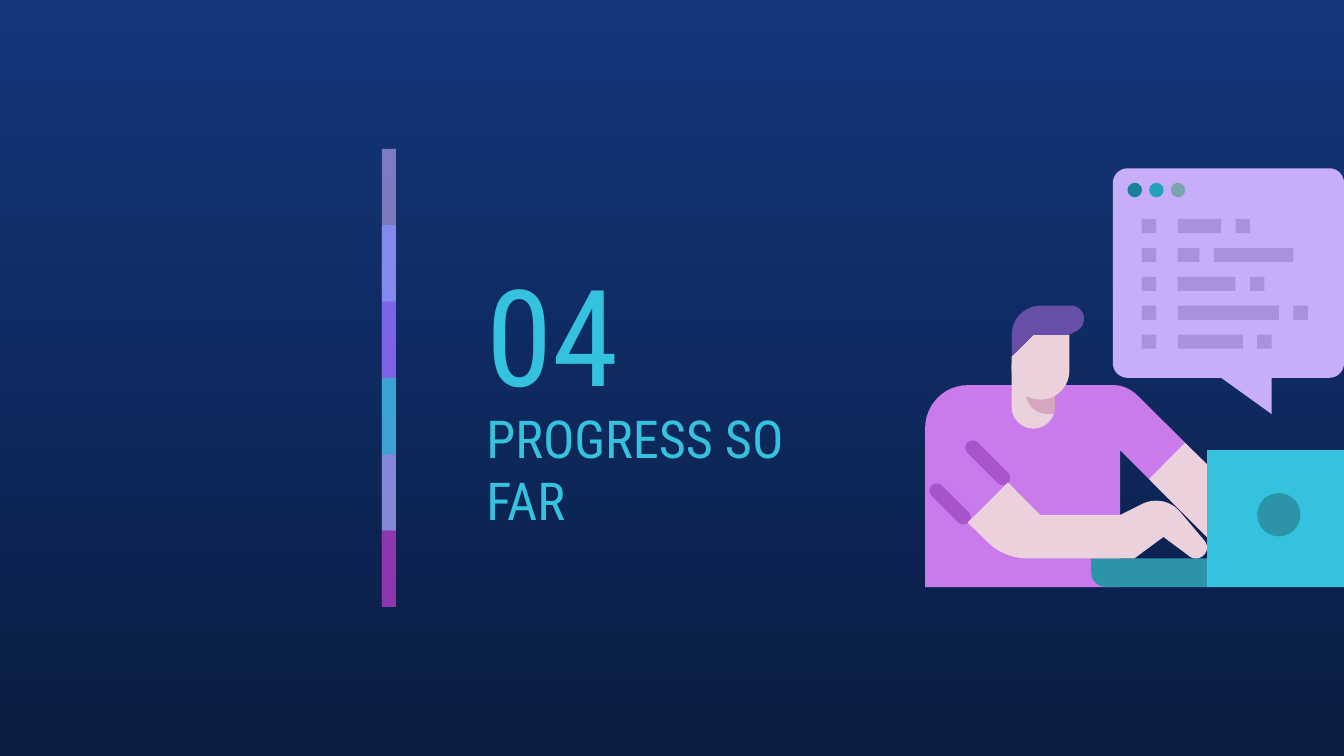
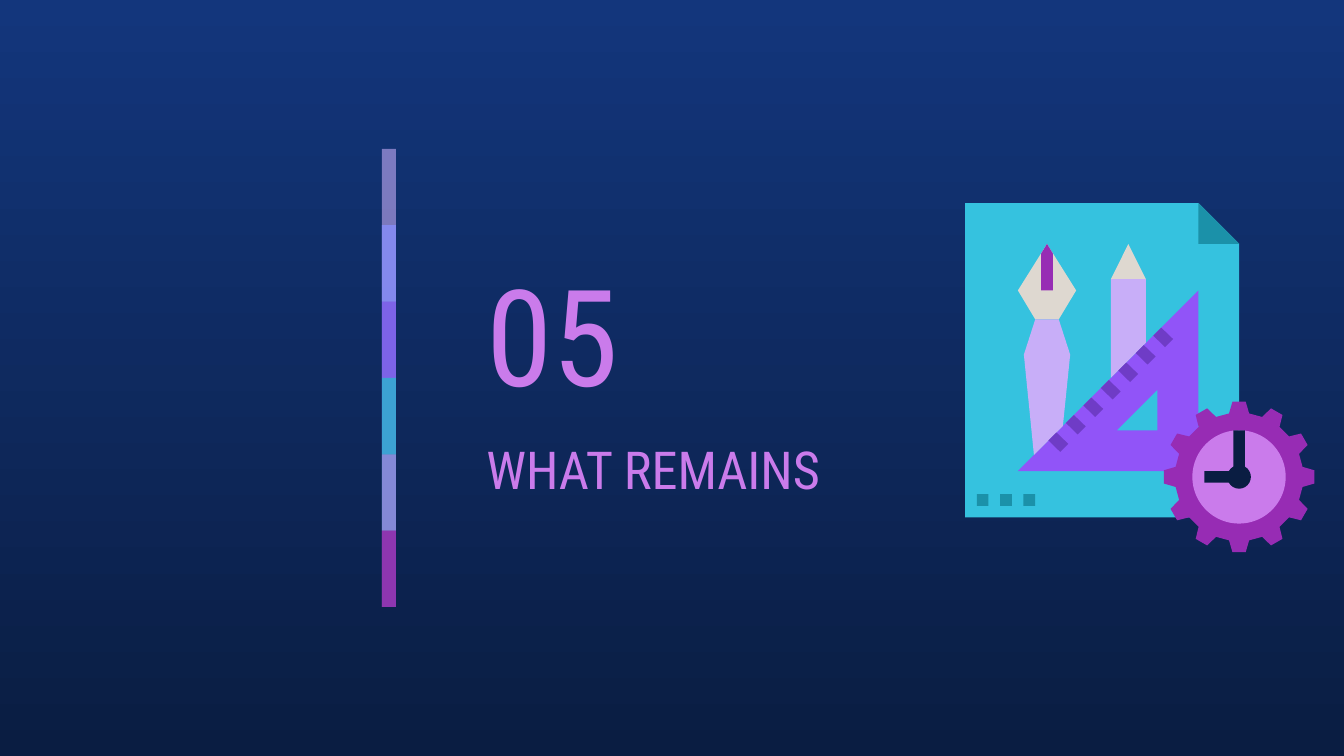
"""Builds two section slides: progress so far, and what remains."""
from dataclasses import dataclass
from math import cos, radians, sin

from lxml.etree import SubElement
from pptx import Presentation
from pptx.dml.color import RGBColor
from pptx.enum.shapes import MSO_SHAPE
from pptx.enum.text import MSO_ANCHOR, MSO_AUTO_SIZE, PP_ALIGN
from pptx.oxml.ns import qn
from pptx.util import Pt


@dataclass(frozen=True)
class Theme:
    font: str = "Roboto Condensed"
    number_size: int = 72
    title_size: int = 28
    sky: str = "13367C"
    navy: str = "0A1D42"
    lilac: str = "C8AEF8"
    periwinkle: str = "878FFF"
    violet: str = "9154F8"
    cyan: str = "35C2DF"
    orchid: str = "CA7BEB"
    purple: str = "972CB4"
    fold: str = "A855CB"
    teal: str = "2B94A9"
    skin: str = "EAD1DC"
    skin_shade: str = "D5A6BD"
    hair: str = "674EA7"
    code: str = "AB90DE"
    page_shade: str = "1B91A9"
    nib: str = "DED8D0"
    tick: str = "6F3CC6"
    buttons: tuple = ("198298", "22A2BC", "76A5AF")


def paint(sp, color, alpha=None):
    """Give a shape a plain fill, with no line or shadow."""
    sp.shadow.inherit = False
    sp.line.fill.background()
    sp.fill.solid()
    sp.fill.fore_color.rgb = RGBColor.from_string(color)
    if alpha is not None:
        clr = sp.element.spPr.find(".//" + qn("a:srgbClr"))
        SubElement(clr, qn("a:alpha")).set("val", str(alpha * 1000))


def outline(shapes, color, *contours):
    """Draw closed contours; a six-number step is a Bezier curve."""
    builder = None
    for (x, y), *steps in contours:
        if builder is None:
            builder = shapes.build_freeform(Pt(x), Pt(y), scale=1.0)
        else:
            builder.move_to(Pt(x), Pt(y))
        points = []
        for step in steps:
            if len(step) == 6:
                x1, y1, x2, y2, x3, y3 = step
                for t in (i / 12 for i in range(1, 13)):
                    a, b, c, d = (1 - t) ** 3, 3 * t * (1 - t) ** 2, 3 * t * t * (1 - t), t ** 3
                    points.append((Pt(a * x + b * x1 + c * x2 + d * x3),
                                   Pt(a * y + b * y1 + c * y2 + d * y3)))
            else:
                points.append((Pt(step[0]), Pt(step[1])))
            x, y = step[-2:]
        builder.add_line_segments(points, close=True)
    paint(builder.convert_to_shape(), color)


theme = Theme()
RECT, OVAL = MSO_SHAPE.RECTANGLE, MSO_SHAPE.OVAL
prs = Presentation()
prs.slide_width, prs.slide_height = Pt(720), Pt(405)

bg = prs.slide_master.background.fill
bg.gradient()
bg.gradient_angle = 270
for stop, color in zip(bg.gradient_stops, (theme.sky, theme.navy)):
    stop.color.rgb = RGBColor.from_string(color)

band = [(theme.lilac, 59), (theme.periwinkle, 74), (theme.violet, 53),
        (theme.cyan, 76), (theme.orchid, 56), (theme.purple, 74)]
band_step = 40.9
art = []
for number, title, color in (("04", "PROGRESS SO FAR", theme.cyan),
                             ("05", "WHAT REMAINS", theme.orchid)):
    s = prs.slides.add_slide(prs.slide_layouts[5])
    bars = s.shapes.add_group_shape().shapes
    for i, (bar_color, alpha) in enumerate(band):
        height = band_step * min(2, len(band) - i)
        bar = bars.add_shape(RECT, Pt(204.6), Pt(79.8 + band_step * i), Pt(7.5), Pt(height))
        paint(bar, bar_color, alpha)
    number_box = s.shapes.add_textbox(0, 0, 0, 0)
    for sp, text, size, box in (
            (number_box, number, theme.number_size, (253.4, 130, 126, 97)),
            (s.shapes.title, title, theme.title_size, (253.4, 227, 206.6, 48))):
        sp.left, sp.top, sp.width, sp.height = map(Pt, box)
        tf = sp.text_frame
        tf.text = text
        tf.word_wrap = True
        tf.auto_size = MSO_AUTO_SIZE.NONE
        tf.vertical_anchor = MSO_ANCHOR.MIDDLE
        tf.margin_left = tf.margin_right = tf.margin_top = tf.margin_bottom = Pt(7.2)
        p = tf.paragraphs[0]
        p.alignment = PP_ALIGN.LEFT
        font = p.runs[0].font
        font.name, font.size = theme.font, Pt(size)
        font.color.rgb = RGBColor.from_string(color)
    art.append(s.shapes.add_group_shape().shapes)

worker, plan = art

shirt = [(518.6, 206.3), (505.9, 206.3, 495.6, 216.6, 495.6, 229.4), (495.6, 314.5),
         (600, 314.5), (600, 241.2), (646.6, 287.8), (646.6, 248.8), (609.8, 212.3),
         (606, 208.4, 601.2, 206.3, 596.2, 206.3)]
outline(worker, theme.orchid, shirt)
for center_x, center_y, length in ((509, 270, 28.1), (529.2, 248, 31)):
    crease = worker.add_shape(MSO_SHAPE.ROUNDED_RECTANGLE, Pt(center_x - length / 2),
                              Pt(center_y - 3.9), Pt(length), Pt(7.8))
    crease.adjustments[0] = 0.5
    crease.rotation = 45
    paint(crease, theme.fold)

paint(worker.add_shape(RECT, Pt(646.6), Pt(241.2), Pt(73.4), Pt(73.4)), theme.cyan)
keyboard = [(584.6, 299.2), (584.6, 306.8), (584.6, 311, 588, 314.5, 592.6, 314.5),
            (646.6, 314.5), (646.6, 299.2)]
neck = [(542, 195), (542, 218), (542, 224.4, 547.2, 229.6, 553.6, 229.6),
        (560, 229.6, 565.2, 224.4, 565.2, 218), (565.2, 195)]
neck_shade = [(549.6, 195), (549.6, 210.2), (549.6, 216.6, 554.8, 221.8, 561.2, 221.8),
              (564.5, 221.8), (565.2, 219.8), (565.2, 195)]
near_arm = [(540, 258.5), (518.4, 280), (529.2, 290.6), (535, 296.2, 542.6, 299.2, 550.8, 299.2),
            (607.7, 299.2), (623.3, 287.7), (637, 297.9), (638, 298.8, 639.4, 299.2, 640.7, 299.2),
            (643.9, 299.2, 646.6, 296.6, 646.6, 293.4), (646.6, 292.1, 646.2, 290.9, 645.4, 289.9),
            (632, 274), (628.8, 270.3, 624.2, 268.3, 619.4, 268.3),
            (616.8, 268.3, 614.4, 268.8, 612, 270), (600, 276), (557.4, 276)]
far_arm = [(634.8, 237.3), (615.6, 256.7), (646.6, 287.8), (646.6, 248.8)]
bubble = [(604, 90.2), (599.7, 90.2, 596.2, 93.7, 596.2, 98), (596.2, 194.6),
          (596.2, 198.9, 599.7, 202.4, 604, 202.4), (654.2, 202.4), (681.2, 221.8),
          (681.2, 202.4), (712.2, 202.4), (716.5, 202.4, 720, 198.9, 720, 194.6),
          (720, 98), (720, 93.7, 716.5, 90.2, 712.2, 90.2)]
face = [(553.7, 179.4), (542, 191), (542, 198.7), (542, 207.2, 548.9, 214.1, 557.5, 214.1),
        (566, 214.1, 572.9, 207.2, 572.9, 198.7), (572.9, 179.4)]
hair = [(557.6, 163.7), (549, 163.7, 542, 170.7, 542, 179.3), (542, 191), (553.7, 179.4),
        (572.9, 179.4), (576.8, 177.3), (579.2, 176, 580.7, 173.5, 580.7, 170.7),
        (580.7, 166.8, 577.6, 163.7, 573.7, 163.7)]
for color, contour in ((theme.teal, keyboard), (theme.skin, neck), (theme.skin_shade, neck_shade),
                       (theme.skin, near_arm), (theme.skin, far_arm), (theme.lilac, bubble),
                       (theme.skin, face), (theme.hair, hair)):
    outline(worker, color, contour)
paint(worker.add_shape(OVAL, Pt(673.5), Pt(264.2), Pt(23.2), Pt(23.2)), theme.teal)

code_unit = 3.87
for row, (first, second) in enumerate(((6, 2), (3, 11), (8, 2), (14, 2), (9, 2))):
    for start, length in ((0, 2), (5, first), (first + 7, second)):
        token = worker.add_shape(RECT, Pt(611.6 + code_unit * start), Pt(117.3 + 15.5 * row),
                                 Pt(code_unit * length), Pt(7.6))
        paint(token, theme.code)
for i, color in enumerate(theme.buttons):
    paint(worker.add_shape(OVAL, Pt(604 + 11.6 * i), Pt(97.9), Pt(7.8), Pt(7.8)), color)

page = [(517, 108.8), (517, 277.2), (663.9, 277.2), (663.9, 130.7), (642, 108.8)]
corner = [(642, 108.8), (642, 130.7), (663.9, 130.7)]
set_square = [(642, 155.6), (545.2, 252.4), (642, 252.4)]
set_square_hole = [(620.1, 208.8), (620.1, 230.6), (598.3, 230.6)]
clock_x, clock_y = 663.8, 255.5
gear = [(clock_x + radius * sin(radians(tooth + angle)),
         clock_y - radius * cos(radians(tooth + angle)))
        for tooth in range(0, 360, 30)
        for angle, radius in ((-9, 34.4), (-5, 40.5), (5, 40.5), (9, 34.4))]
pencil_tip = [(604.5, 130.7), (595.2, 149.5), (613.9, 149.5)]
pencil = [(595.2, 149.5), (595.2, 202.4), (613.9, 183.7), (613.9, 149.5)]
pen_nib = [(560.9, 130.7), (545.3, 155.6), (554.6, 171.1), (567.2, 171.1), (576.5, 155.6)]
pen = [(554.6, 171.1), (548.5, 190), (553.9, 243.7), (569.4, 228.2), (573.3, 190), (567.2, 171.1)]
pen_slit = [(560.9, 130.7), (557.8, 135.8), (557.8, 155.6), (564, 155.6), (564, 135.8)]
clock_hands = [(660.7, 230.6), (660.7, 252.4), (645.2, 252.4), (645.2, 258.6),
               (666.9, 258.6), (666.9, 230.6)]
for color, *contours in ((theme.cyan, page), (theme.page_shade, corner),
                         (theme.violet, set_square, set_square_hole), (theme.purple, gear),
                         (theme.nib, pencil_tip), (theme.lilac, pencil), (theme.nib, pen_nib),
                         (theme.lilac, pen), (theme.purple, pen_slit)):
    outline(plan, color, *contours)

for radius, color in ((25, theme.orchid), (6.3, theme.navy)):
    disc = plan.add_shape(OVAL, Pt(clock_x - radius), Pt(clock_y - radius),
                          Pt(2 * radius), Pt(2 * radius))
    paint(disc, color)
outline(plan, theme.navy, clock_hands)

for i in range(7):
    shift = 9.36 * i
    outline(plan, theme.tick, [(x + shift, y - shift) for x, y in (
        (566, 231.7), (561.7, 236), (568, 242.1), (572.3, 237.8))])
for i in range(3):
    paint(plan.add_shape(RECT, Pt(523.3 + 12.5 * i), Pt(264.8), Pt(6.3), Pt(6.3)), theme.page_shade)

prs.save("out.pptx")
